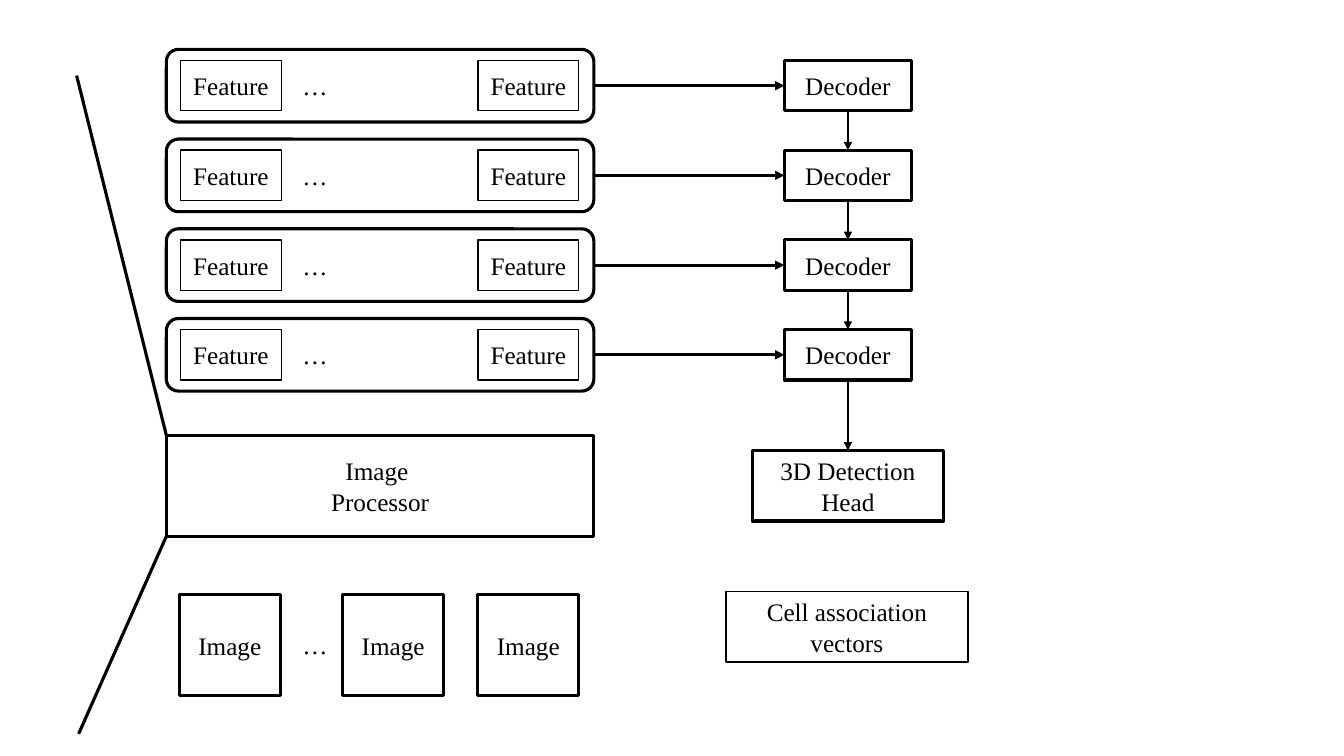
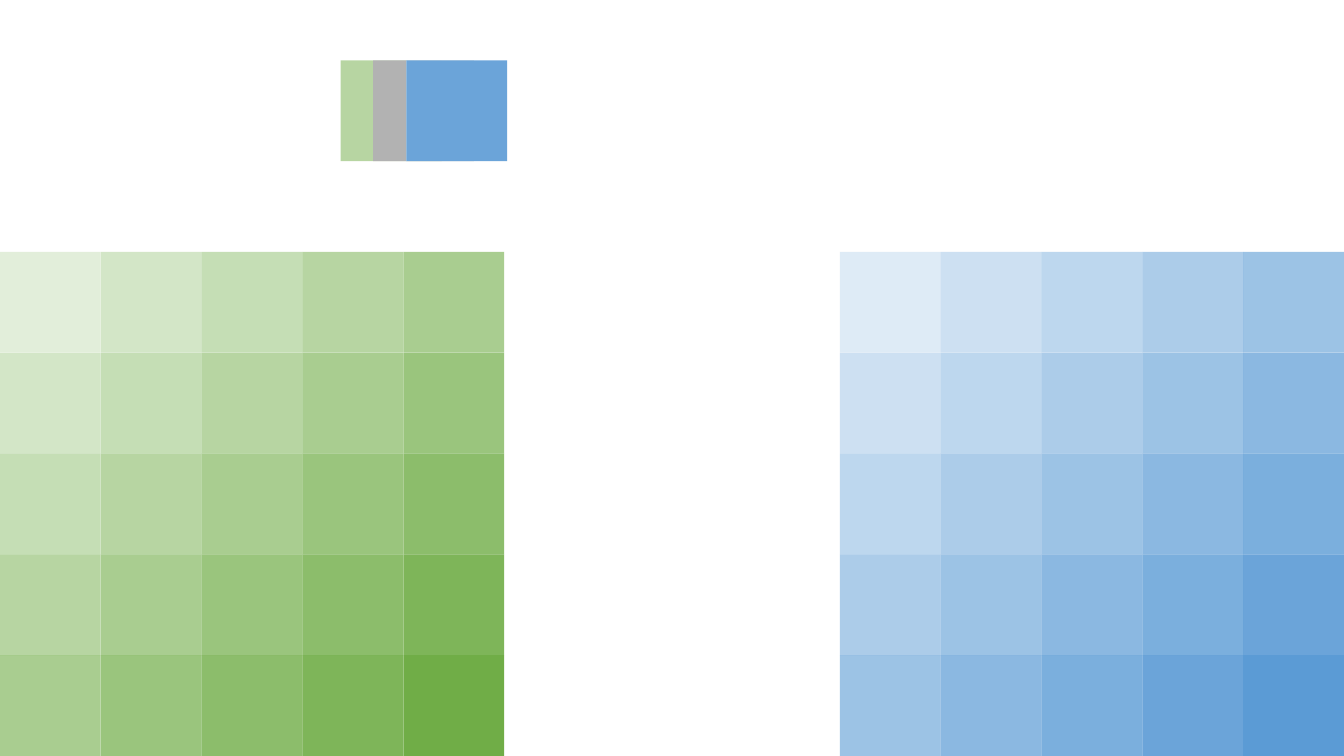
from dataclasses import dataclass
from typing import Optional

from lxml import etree
from pptx import Presentation
from pptx import util as u
from pptx.dml.color import RGBColor
from pptx.enum import shapes, text
from pptx.oxml.ns import qn

EMU_PER_PX = 9144  # 100 px to the inch
SLIDE_W, SLIDE_H = 1333, 750
FONT, TEXT_SIZE = "Times New Roman", u.Pt(18)
COLORS = {
    "ink": "000000",
    "paper": "FFFFFF",
    "green": "70AD47",
    "gray": "808080",
    "blue": "5B9BD5",
}
THIN, MEDIUM, THICK = u.Pt(1), u.Pt(1.5), u.Pt(2.25)
TOP, LEFT, BOTTOM, RIGHT = range(4)

LEVELS, LEVEL_TOP, LEVEL_PITCH = 4, 49, 89
FRAME_X, FRAME_W, FRAME_H = 165, 424, 72
PROCESSOR_Y, PROCESSOR_H = 432, 100
FEATURE_XS = (179, 474)
IMAGE_XS = (178, 340, 474)
DOTS_X = 290
SMALL_H = 50

TILE = 100
GRID_SIDE = 5
GRID_TOP = SLIDE_H - GRID_SIDE * TILE


@dataclass(frozen=True)
class Box:
    x: int
    y: int
    w: int
    h: int
    label: str = ""
    weight: int = THICK
    kind: int = shapes.MSO_SHAPE.RECTANGLE


@dataclass(frozen=True)
class Tile:
    x: int
    y: int
    color: str
    opacity: int


def px(length: int) -> u.Emu:
    return u.Emu(length * EMU_PER_PX)


def rgb(name: str) -> RGBColor:
    return RGBColor.from_string(COLORS[name])


def set_label(frame, label: str, align: Optional[int] = None) -> None:
    frame.text = label
    for paragraph in frame.paragraphs:
        paragraph.alignment = align
        for run in paragraph.runs:
            run.font.name = FONT
            run.font.size = TEXT_SIZE
            run.font.color.rgb = rgb("ink")


def draw_box(slide, box: Box):
    block = slide.shapes.add_shape(box.kind, px(box.x), px(box.y), px(box.w), px(box.h))
    block.shadow.inherit = False
    block.fill.solid()
    block.fill.fore_color.rgb = rgb("paper")
    block.line.color.rgb = rgb("ink")
    block.line.width = box.weight
    if box.label:
        block.text_frame.vertical_anchor = text.MSO_ANCHOR.MIDDLE
        set_label(block.text_frame, box.label, text.PP_ALIGN.CENTER)
    return block


def draw_dots(slide, y: int) -> None:
    dots = slide.shapes.add_textbox(px(DOTS_X), px(y), px(45), px(40))
    dots.text_frame.word_wrap = False
    dots.text_frame.auto_size = text.MSO_AUTO_SIZE.SHAPE_TO_FIT_TEXT
    set_label(dots.text_frame, "…")


def draw_line(slide, x1: int = 0, y1: int = 0, x2: int = 0, y2: int = 0, weight: int = THICK):
    line = slide.shapes.add_connector(
        shapes.MSO_CONNECTOR.STRAIGHT, px(x1), px(y1), px(x2), px(y2))
    line.line.color.rgb = rgb("ink")
    line.line.width = weight
    etree.SubElement(line.element.spPr, qn("a:effectLst"))
    return line


def draw_arrow(slide, source, source_side: int, target, target_side: int, weight: int) -> None:
    arrow = draw_line(slide, weight=weight)
    arrow.begin_connect(source, source_side)
    arrow.end_connect(target, target_side)
    outline = arrow.element.spPr.find(qn("a:ln"))
    etree.SubElement(outline, qn("a:tailEnd"), type="triangle")


def draw_tile(group, tile: Tile) -> None:
    square = group.shapes.add_shape(
        shapes.MSO_SHAPE.RECTANGLE, px(tile.x), px(tile.y), px(TILE), px(TILE))
    square.shadow.inherit = False
    square.line.fill.background()
    square.fill.solid()
    square.fill.fore_color.rgb = rgb(tile.color)
    if tile.opacity < 100:
        color = square.element.spPr.find(".//" + qn("a:srgbClr"))
        etree.SubElement(color, qn("a:alpha"), val=str(tile.opacity * 1000))


def draw_grid(slide, left: int, color: str) -> None:
    """Draw a square of tiles that grow denser towards the lower right."""
    grid = slide.shapes.add_group_shape()
    for row in range(GRID_SIDE):
        for col in range(GRID_SIDE):
            draw_tile(grid, Tile(left + col * TILE, GRID_TOP + row * TILE,
                                 color, 20 + 10 * (row + col)))


def build_architecture(slide) -> None:
    decoders = []
    for level in range(LEVELS):
        top = LEVEL_TOP + level * LEVEL_PITCH
        inner = top + (FRAME_H - SMALL_H) // 2
        feature_row = draw_box(slide, Box(FRAME_X, top, FRAME_W, FRAME_H,
                                          kind=shapes.MSO_SHAPE.ROUNDED_RECTANGLE))
        for x in FEATURE_XS:
            draw_box(slide, Box(x, inner, 100, SMALL_H, "Feature", THIN))
        draw_dots(slide, inner + 5)
        decoder = draw_box(slide, Box(778, inner, 126, SMALL_H, "Decoder"))
        draw_arrow(slide, feature_row, RIGHT, decoder, LEFT, THICK)
        decoders.append(decoder)

    head = draw_box(slide, Box(746, 447, 190, 70, "3D Detection Head"))
    chain = decoders + [head]
    for upper, lower in zip(chain, chain[1:]):
        draw_arrow(slide, upper, BOTTOM, lower, TOP, MEDIUM)
    draw_box(slide, Box(720, 587, 240, 70, "Cell association vectors", THIN))

    draw_box(slide, Box(FRAME_X, PROCESSOR_Y, FRAME_W, PROCESSOR_H, "Image \nProcessor"))
    for x in IMAGE_XS:
        draw_box(slide, Box(x, 590, 100, 100, "Image"))
    draw_dots(slide, 619)
    draw_line(slide, 76, 75, FRAME_X, PROCESSOR_Y)
    draw_line(slide, 78, 728, FRAME_X, PROCESSOR_Y + PROCESSOR_H)


def build_heatmaps(slide) -> None:
    draw_grid(slide, 0, "green")
    draw_grid(slide, SLIDE_W - GRID_SIDE * TILE, "blue")
    stack = slide.shapes.add_group_shape()
    for tile in (Tile(338, 60, "green", 50),
                 Tile(370, 60, "gray", 60),
                 Tile(403, 60, "blue", 90)):
        draw_tile(stack, Tile(tile.x, tile.y, "paper", 100))
        draw_tile(stack, tile)


def main() -> None:
    deck = Presentation()
    deck.slide_width, deck.slide_height = px(SLIDE_W), px(SLIDE_H)
    blank = deck.slide_layouts[6]
    for build in (build_architecture, build_heatmaps):
        build(deck.slides.add_slide(blank))
    deck.save("out.pptx")


if __name__ == "__main__":
    main()
